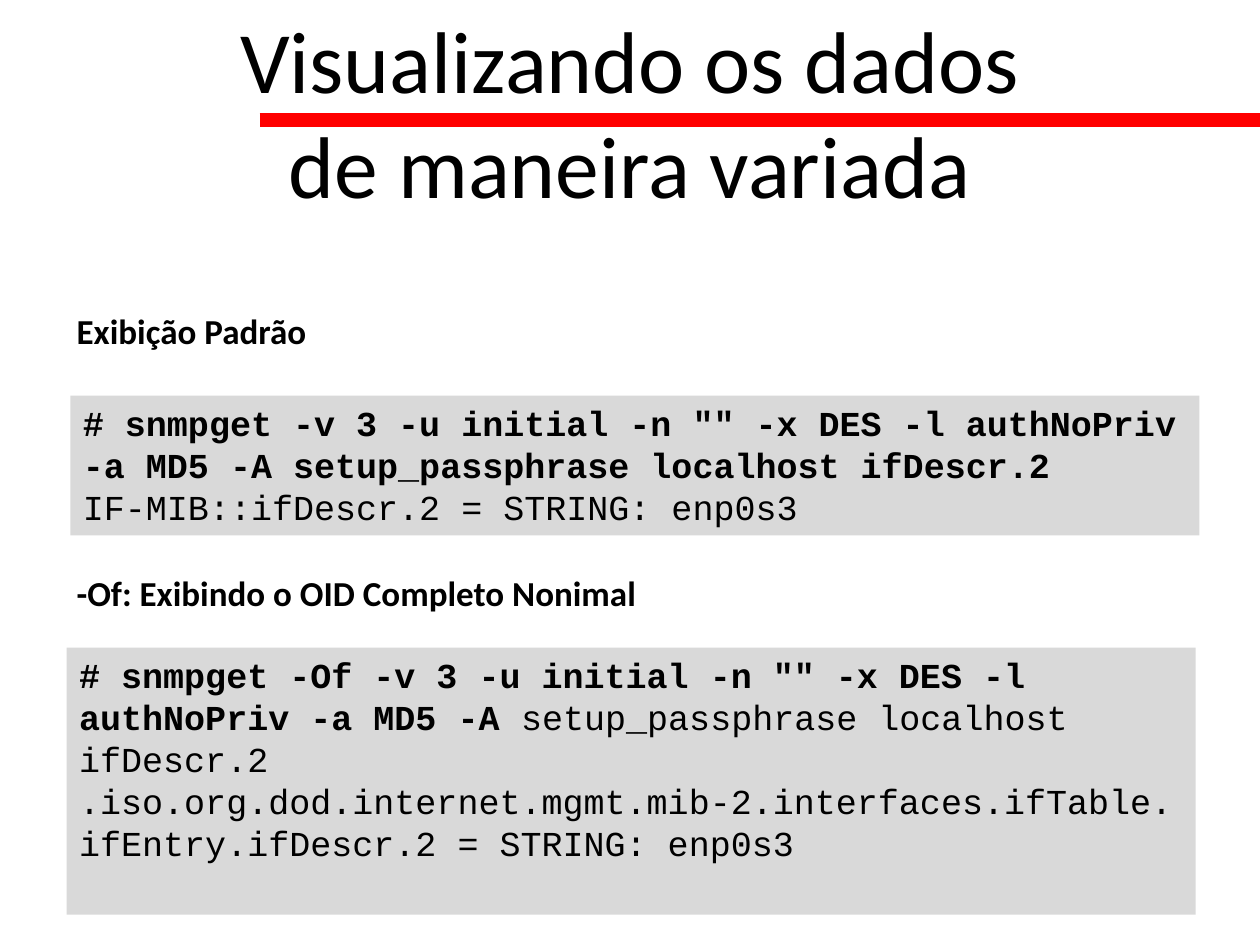
from dataclasses import dataclass

from lxml.etree import SubElement
from pptx import Presentation
from pptx.dml.color import RGBColor
from pptx.enum.shapes import MSO_CONNECTOR as Connector, MSO_SHAPE as Shape
from pptx.enum.text import MSO_ANCHOR as Anchor, MSO_AUTO_SIZE as AutoSize, PP_ALIGN as Align
from pptx.oxml.ns import qn
from pptx.util import Inches, Pt

BLACK = "000000"
GRAY = "D9D9D9"
RED = "FF0000"
BLOCK_WIDTH = 8.96
HEADING_LEFT = 0.51
HEADING_HEIGHT = 0.44


@dataclass
class Line:
    bold: str = ""
    plain: str = ""


@dataclass
class Example:
    heading: str
    heading_top: float
    left: float
    top: float
    height: float
    lines: list[Line]


EXAMPLES = [
    Example("Exibição Padrão", 2.41, 0.56, 3.14, 1.11, [
        Line(bold='# snmpget -v 3 -u initial -n "" -x DES -l authNoPriv '
                  "-a MD5 -A setup_passphrase localhost ifDescr.2"),
        Line(plain="IF-MIB::ifDescr.2 = STRING: enp0s3"),
    ]),
    Example("-Of: Exibindo o OID Completo Nonimal", 4.49, 0.53, 5.14, 2.12, [
        Line('# snmpget -Of -v 3 -u initial -n "" -x DES -l authNoPriv -a MD5 -A ',
             "setup_passphrase localhost ifDescr.2"),
        Line(plain=".iso.org.dod.internet.mgmt.mib-2.interfaces.ifTable."
                   "ifEntry.ifDescr.2 = STRING: enp0s3"),
    ]),
]


def color(value: str) -> RGBColor:
    return RGBColor.from_string(value)


def prepare_frame(frame) -> None:
    frame.word_wrap = True
    frame.auto_size = AutoSize.NONE
    frame.vertical_anchor = Anchor.TOP


def format_paragraph(paragraph, font_name: str, size: int, align=Align.LEFT) -> None:
    paragraph.alignment = align
    paragraph.font.name = font_name
    paragraph.font.size = Pt(size)
    paragraph.font.color.rgb = color(BLACK)


def add_title(slide, text: str) -> None:
    title = slide.shapes.title
    title.left, title.top = Inches(0), Inches(0)
    title.width, title.height = Inches(10), Inches(1.78)
    frame = title.text_frame
    frame.text = text
    prepare_frame(frame)
    for paragraph in frame.paragraphs:
        format_paragraph(paragraph, "Calibri", 50, Align.CENTER)


def add_title_rule(slide) -> None:
    rule = slide.shapes.add_connector(
        Connector.STRAIGHT, Inches(2.06), Inches(0.95), Inches(10), Inches(0.95))
    rule.line.color.rgb = color(RED)
    rule.line.width = Pt(8)
    SubElement(rule._element.spPr, qn("a:effectLst"))
    slide.shapes.title._element.addprevious(rule._element)


def add_heading(slide, text: str, top: float) -> None:
    box = slide.shapes.add_textbox(
        Inches(HEADING_LEFT), Inches(top), Inches(BLOCK_WIDTH), Inches(HEADING_HEIGHT))
    frame = box.text_frame
    prepare_frame(frame)
    paragraph = frame.paragraphs[0]
    paragraph.text = text
    format_paragraph(paragraph, "Calibri", 20)
    paragraph.font.bold = True


def add_code_block(slide, example: Example) -> None:
    block = slide.shapes.add_shape(
        Shape.RECTANGLE, Inches(example.left), Inches(example.top),
        Inches(BLOCK_WIDTH), Inches(example.height))
    block.shadow.inherit = False
    block.fill.solid()
    block.fill.fore_color.rgb = color(GRAY)
    block.line.fill.background()
    frame = block.text_frame
    prepare_frame(frame)
    for index, line in enumerate(example.lines):
        paragraph = frame.add_paragraph() if index else frame.paragraphs[0]
        format_paragraph(paragraph, "Courier New", 20)
        for text, bold in ((line.bold, True), (line.plain, False)):
            if text:
                run = paragraph.add_run()
                run.text = text
                run.font.bold = bold


def main() -> None:
    presentation = Presentation()
    presentation.slide_width = Inches(10)
    presentation.slide_height = Inches(7.5)
    slide = presentation.slides.add_slide(presentation.slide_layouts[5])
    add_title(slide, "Visualizando os dados\nde maneira variada")
    add_title_rule(slide)
    for example in EXAMPLES:
        add_heading(slide, example.heading, example.heading_top)
        add_code_block(slide, example)
    presentation.save("out.pptx")


if __name__ == "__main__":
    main()
